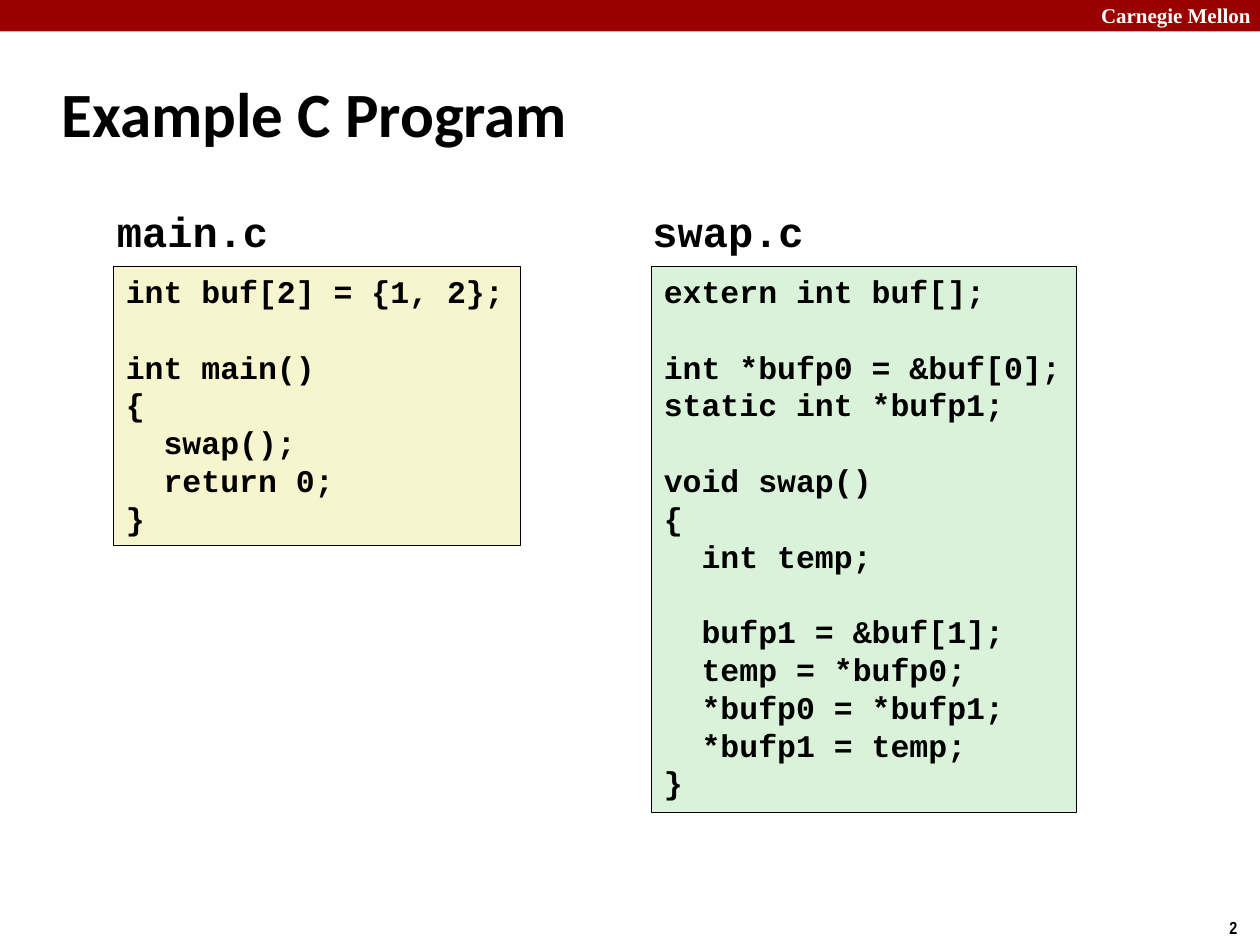
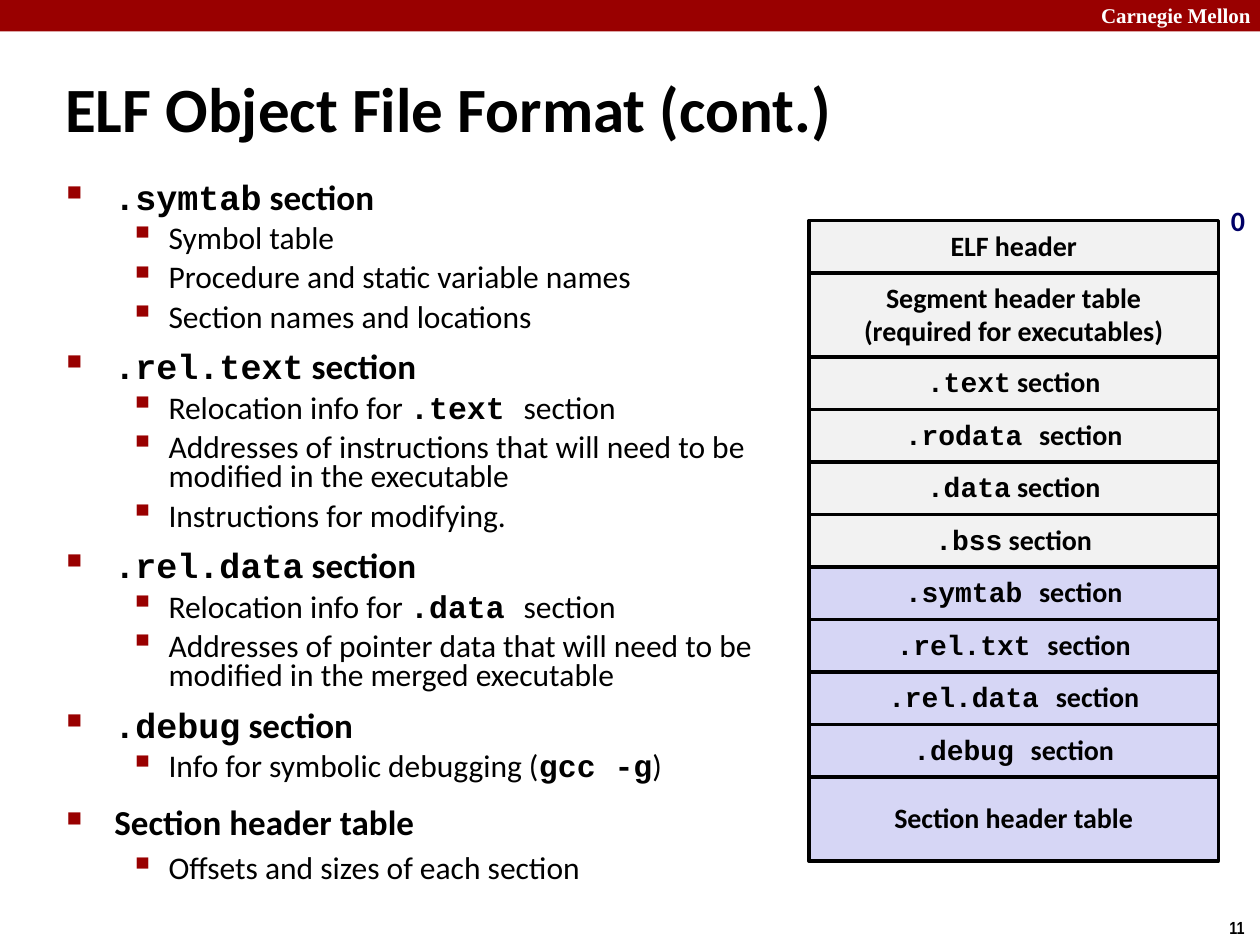
from pptx import Presentation
from pptx import util as u
from pptx.dml.color import RGBColor
from pptx.enum import shapes, text
from pptx.oxml import parse_xml
from pptx.oxml.ns import nsdecls

RED, BLACK, WHITE, NAVY = "990000", "000000", "FFFFFF", "000066"
YELLOW, GREEN, GREY, LILAC = "F7F5CD", "DBF2DA", "F2F2F2", "D6D6F5"
SANS, MONO = "Calibri", "Courier New"


def add_box(slide, left, top, width, height, fill=None, line=None):
    place = [u.Inches(n) for n in (left, top, width, height)]
    if fill is None:
        box = slide.shapes.add_textbox(*place)
    else:
        box = slide.shapes.add_shape(shapes.MSO_SHAPE.RECTANGLE, *place)
        box.shadow.inherit = False
        box.fill.solid()
        box.fill.fore_color.rgb = RGBColor.from_string(fill)
        if line:
            box.line.color.rgb = RGBColor.from_string(BLACK)
            box.line.width = u.Pt(line)
        else:
            box.line.fill.background()
    box.text_frame.word_wrap = False
    box.text_frame.vertical_anchor = text.MSO_ANCHOR.TOP
    return box.text_frame


def add_line(frame, content, size, font=SANS, color=BLACK, bold=True, spacing=None,
             align=text.PP_ALIGN.LEFT):
    paragraph = frame.paragraphs[0]
    if paragraph.runs:
        paragraph = frame.add_paragraph()
    paragraph.alignment = align
    paragraph.line_spacing = spacing
    pieces = [content] if font == MONO else content.split("`")
    for i, piece in enumerate(pieces):
        if piece:
            run = paragraph.add_run()
            run.text = piece
            run.font.size = u.Pt(size)
            run.font.name = MONO if i % 2 else font
            run.font.bold = bold or i % 2 == 1
            run.font.color.rgb = RGBColor.from_string(color)
    return paragraph


prs = Presentation()
prs.slide_width, prs.slide_height = u.Inches(10), u.Inches(7.5)

slides = []
for number, title, place in [
    ("2", "Example C Program", (0.39, 0.48, 8.3, 0.83)),
    ("11", "ELF Object File Format (cont.)", (0.42, 0.42, 9.53, 0.86)),
]:
    slide = prs.slides.add_slide(prs.slide_layouts[6])
    add_box(slide, 0, 0, 10, 0.25, RED)
    add_line(add_box(slide, 8.64, -0.03, 1.43, 0.3), "Carnegie Mellon", 12, "Times New Roman", WHITE)
    add_line(add_box(slide, 9.66, 7.23, 0.34, 0.27), number, 10, "Arial Narrow")
    heading = add_box(slide, *place)
    heading.vertical_anchor = text.MSO_ANCHOR.MIDDLE
    add_line(heading, title, 36)
    slides.append(slide)
program, elf = slides

MAIN_C = """int buf[2] = {1, 2};

int main()
{
  swap();
  return 0;
}"""
SWAP_C = """extern int buf[];

int *bufp0 = &buf[0];
static int *bufp1;

void swap()
{
  int temp;

  bufp1 = &buf[1];
  temp = *bufp0;
  *bufp0 = *bufp1;
  *bufp1 = temp;
}"""
CODE_PITCH = 21.6

for file_name, label_left, left, width, height, fill, code in [
    ("main.c", 0.83, 0.9, 3.23, 2.22, YELLOW, MAIN_C),
    ("swap.c", 5.08, 5.17, 3.37, 4.34, GREEN, SWAP_C),
]:
    add_line(add_box(program, label_left, 1.58, 1.43, 0.5), file_name, 24, MONO)
    listing = add_box(program, left, 2.11, width, height, fill, 0.25)
    gap = 0
    for code_line in code.split("\n"):
        if code_line:
            statement = add_line(listing, code_line, 18, MONO, spacing=u.Pt(CODE_PITCH))
            if gap:
                statement.space_before = u.Pt(gap)
            gap = 0
        else:
            gap = CODE_PITCH

outline = [
    ("`.symtab` section", ["Symbol table", "Procedure and static variable names",
                           "Section names and locations"]),
    ("`.rel.text` section", ["Relocation info for `.text `section",
                             "Addresses of instructions that will need to be modified in the executable",
                             "Instructions for modifying."]),
    ("`.rel.data` section", ["Relocation info for `.data `section",
                             "Addresses of pointer data that will need to be modified in the merged executable"]),
    ("`.debug` section", ["Info for symbolic debugging (`gcc -g`)"]),
    ("Section header table", ["Offsets and sizes of each section"]),
]
levels = [
    dict(size=20, bold=True, spacing=0.71, before=12.5, margin=0.38, hang=0.38, mark="■", scale=60),
    dict(size=18, bold=False, spacing=0.78, before=5.6, margin=0.81, hang=0.31, mark="▪", scale=110),
]
notes = add_box(elf, 0.43, 1.43, 5.77, 5.98)
notes.word_wrap = True
for section, details in outline:
    for i, item in enumerate([section] + details):
        level = levels[min(i, 1)]
        spacing = level["spacing"] if "`" in section else 0.88
        point = add_line(notes, item, level["size"], bold=level["bold"], spacing=spacing)
        if section != outline[0][0] or i:
            point.space_before = u.Pt(level["before"])
        props = point._p.get_or_add_pPr()
        props.set("lvl", str(min(i, 1)))
        props.set("marL", str(u.Inches(level["margin"])))
        props.set("indent", str(-u.Inches(level["hang"])))
        for bullet in (f'<a:buClr {nsdecls("a")}><a:srgbClr val="{RED}"/></a:buClr>',
                       f'<a:buSzPct {nsdecls("a")} val="{level["scale"] * 1000}"/>',
                       f'<a:buChar {nsdecls("a")} char="{level["mark"]}"/>'):
            props.append(parse_xml(bullet))

SMALL, LARGE = 5 / 12, 8 / 12
top = 1.75
for fill, height, lines in [
    (GREY, SMALL, ["ELF header"]),
    (GREY, LARGE, ["Segment header table", "(required for executables)"]),
    (GREY, SMALL, ["`.text` section"]),
    (GREY, SMALL, ["`.rodata `section"]),
    (GREY, SMALL, ["`.data` section"]),
    (GREY, SMALL, ["`.bss` section"]),
    (LILAC, SMALL, ["`.symtab `section"]),
    (LILAC, SMALL, ["`.rel.txt `section"]),
    (LILAC, SMALL, ["`.rel.data `section"]),
    (LILAC, SMALL, ["`.debug `section"]),
    (LILAC, LARGE, ["Section header table"]),
]:
    part = add_box(elf, 6.42, top, 3.25, height, fill, 2)
    part.vertical_anchor = text.MSO_ANCHOR.MIDDLE
    for line in lines:
        add_line(part, line, 16, spacing=0.94 if "`" in line else 0.98, align=text.PP_ALIGN.CENTER)
    top += height
add_line(add_box(elf, 9.67, 1.58, 0.31, 0.37), "0", 16, color=NAVY, spacing=0.98)

prs.save("out.pptx")
